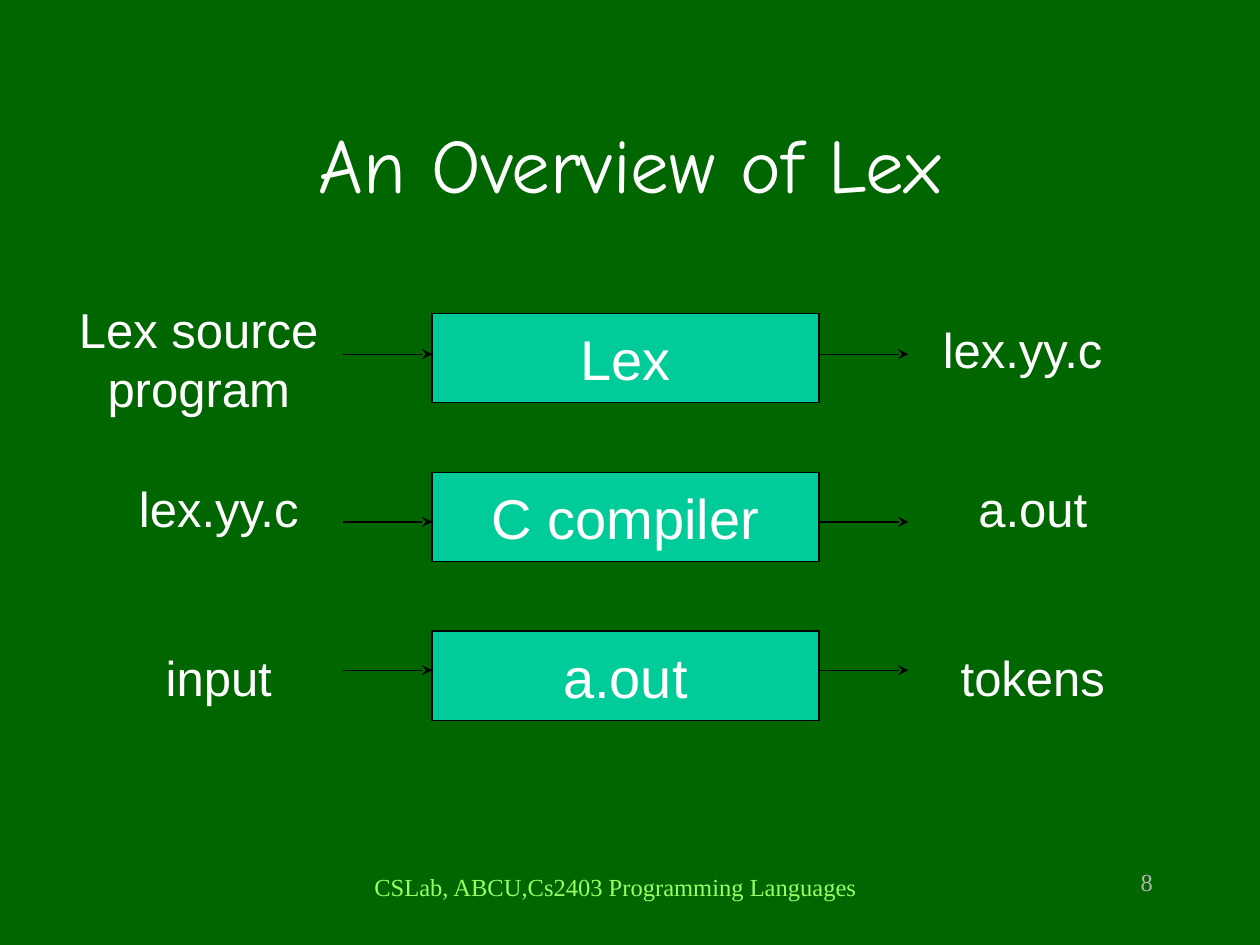
from dataclasses import dataclass

from lxml import etree
from pptx import Presentation
from pptx.dml.color import RGBColor
from pptx.enum.shapes import MSO_CONNECTOR, MSO_SHAPE
from pptx.enum.text import MSO_ANCHOR, PP_ALIGN
from pptx.oxml.ns import qn
from pptx.util import Cm, Pt


@dataclass(frozen=True)
class Theme:
    background: RGBColor = RGBColor(0x00, 0x66, 0x00)
    text: RGBColor = RGBColor(0xFF, 0xFF, 0xFF)
    stage: RGBColor = RGBColor(0x00, 0xCC, 0x99)
    line: RGBColor = RGBColor(0x00, 0x00, 0x00)
    footer: RGBColor = RGBColor(0x99, 0xFF, 0x66)
    number: RGBColor = RGBColor(0xB2, 0xB2, 0xB2)
    title_size: Pt = Pt(44)
    stage_size: Pt = Pt(32)
    label_size: Pt = Pt(28)
    footer_size: Pt = Pt(14)
    line_width: Pt = Pt(0.75)


theme = Theme()


def write(box, text, size, color=theme.text, font="Arial",
          align=PP_ALIGN.CENTER, anchor=MSO_ANCHOR.TOP, wrap=True):
    frame = box.text_frame
    frame.word_wrap = wrap
    frame.vertical_anchor = anchor
    para = frame.paragraphs[0]
    para.text = text
    para.alignment = align
    para.font.name = font
    para.font.size = size
    para.font.color.rgb = color


def add_arrow(page, left, y, length):
    arrow = page.shapes.add_connector(
        MSO_CONNECTOR.STRAIGHT, Cm(left), Cm(y), Cm(left + length), Cm(y))
    arrow.line.color.rgb = theme.line
    arrow.line.width = theme.line_width
    etree.SubElement(arrow.line._get_or_add_ln(), qn("a:tailEnd"), type="stealth")
    etree.SubElement(arrow._element.spPr, qn("a:effectLst"))


deck = Presentation()
deck.slide_width, deck.slide_height = Cm(25.4), Cm(19.05)
page = deck.slides.add_slide(deck.slide_layouts[6])
page.background.fill.solid()
page.background.fill.fore_color.rgb = theme.background

footer = page.shapes.add_textbox(Cm(6.3), Cm(17.45), Cm(12.22), Cm(1.27))
write(footer, "CSLab, ABCU,Cs2403 Programming Languages", theme.footer_size,
      theme.footer, "Times New Roman")
number = page.shapes.add_textbox(Cm(18.21), Cm(17.35), Cm(5.28), Cm(1.27))
write(number, "8", theme.footer_size, theme.number, "Times New Roman", PP_ALIGN.RIGHT)
title = page.shapes.add_textbox(Cm(1.9), Cm(1.7), Cm(21.6), Cm(3.18))
write(title, "An Overview of Lex", theme.title_size, font="Comic Neue",
      anchor=MSO_ANCHOR.MIDDLE)

STAGE_LEFT, STAGE_TOP, STAGE_PITCH = 8.71, 6.32, 3.2
STAGE_WIDTH, STAGE_HEIGHT = 7.8, 1.8
ARROW_LENGTH = 1.8
OUTPUT_LEFT = 17.91

# stage, arrow height, label width, (input, left, top, height), (output, top)
rows = [
    ("Lex", 7.14, 5.41, ("Lex source program", 1.3, 5.92, 2.64), ("lex.yy.c", 6.32)),
    ("C compiler", 10.52, 5.82, ("lex.yy.c", 1.5, 9.53, 1.45), ("a.out", 9.53)),
    ("a.out", 13.51, 5.82, ("input", 1.5, 12.93, 1.45), ("tokens", 12.93)),
]

for index, (name, arrow_y, label_width, source, output) in enumerate(rows):
    stage = page.shapes.add_shape(
        MSO_SHAPE.RECTANGLE, Cm(STAGE_LEFT), Cm(STAGE_TOP + index * STAGE_PITCH),
        Cm(STAGE_WIDTH), Cm(STAGE_HEIGHT))
    stage.shadow.inherit = False
    stage.fill.solid()
    stage.fill.fore_color.rgb = theme.stage
    stage.line.color.rgb = theme.line
    stage.line.width = theme.line_width
    write(stage, name, theme.stage_size, anchor=MSO_ANCHOR.MIDDLE, wrap=False)

    output_text, output_top = output
    labels = [source, (output_text, OUTPUT_LEFT, output_top, 1.45)]
    for text, left, top, height in labels:
        label = page.shapes.add_textbox(Cm(left), Cm(top), Cm(label_width), Cm(height))
        write(label, text, theme.label_size)

    for arrow_left in (STAGE_LEFT - ARROW_LENGTH, STAGE_LEFT + STAGE_WIDTH):
        add_arrow(page, arrow_left, arrow_y, ARROW_LENGTH)

deck.save("out.pptx")
